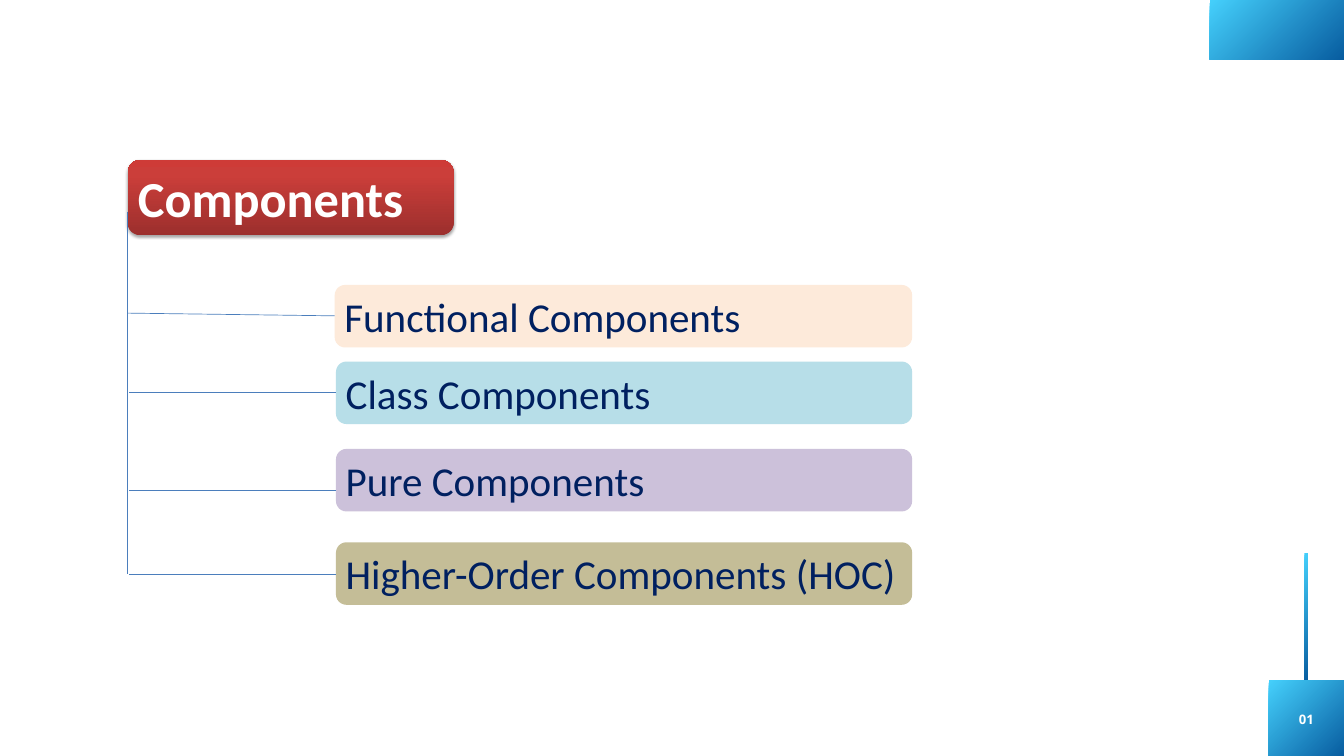
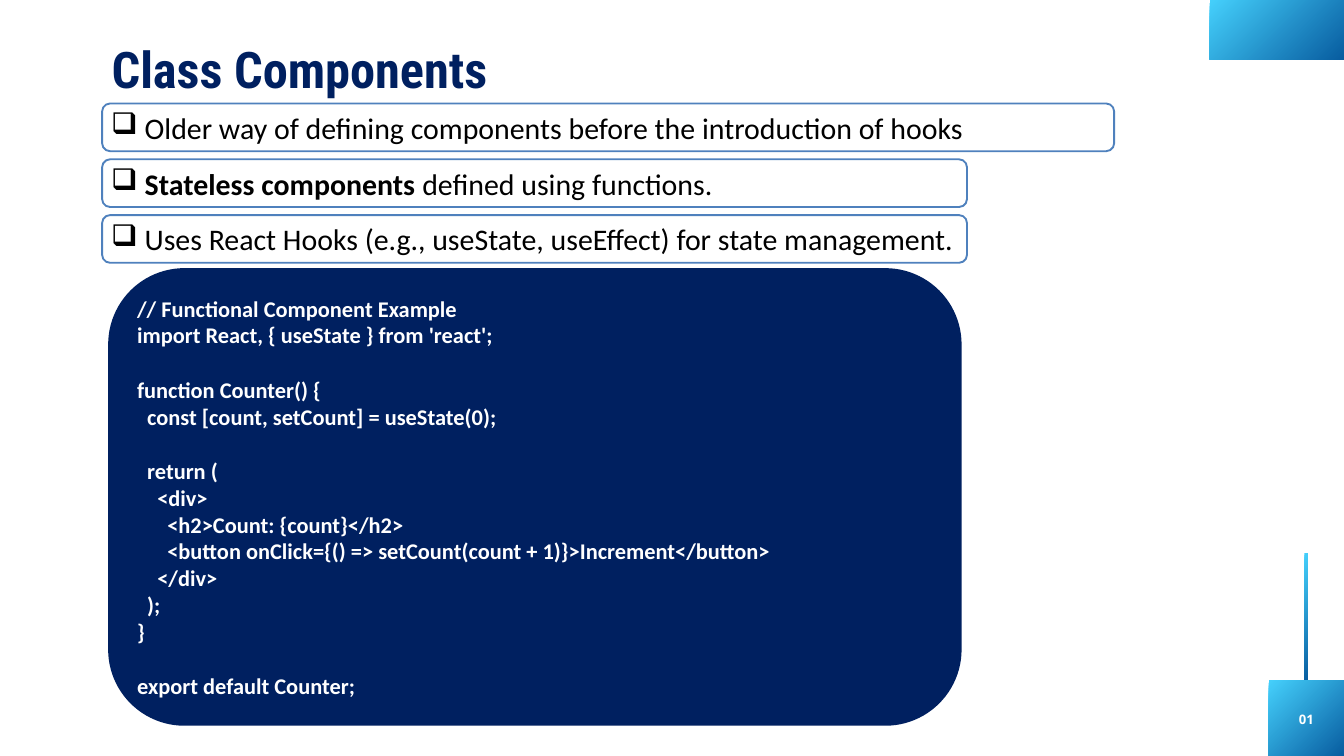
"""Two slides on component types: an overview tree and a worked code example."""
from copy import deepcopy

from lxml import etree
from pptx import Presentation
from pptx import util as u
from pptx.dml.color import RGBColor
from pptx.enum import shapes, text
from pptx.oxml.ns import qn

WHITE = RGBColor(0xFF, 0xFF, 0xFF)
BLACK = RGBColor(0, 0, 0)
NAVY = RGBColor(0x00, 0x20, 0x60)
SKY = RGBColor(0x45, 0xD0, 0xFC)
OCEAN = RGBColor(0x08, 0x5D, 0xA0)
BRANCH = RGBColor(0x4B, 0x7E, 0xBC)
OUTLINE = RGBColor(0x4F, 0x81, 0xBD)
PEACH = RGBColor(0xFD, 0xEA, 0xDA)
AQUA = RGBColor(0xB7, 0xDE, 0xE8)
LILAC = RGBColor(0xCC, 0xC1, 0xDA)
KHAKI = RGBColor(0xC4, 0xBD, 0x97)
REDS = [(0, RGBColor(0x9C, 0x2F, 0x2D)), (0.8, RGBColor(0xCB, 0x3E, 0x3A)),
        (1, RGBColor(0xCE, 0x3B, 0x37))]
BLUES = [(0, SKY), (1, OCEAN)]

PAGE = dict(size=u.Pt(14), name="Open Sans", bold=True)
TITLE = dict(size=u.Pt(54), name="Roboto Condensed", bold=True)
ROOT = dict(size=u.Pt(54), name="Calibri", bold=True)
BRANCH_TEXT = dict(size=u.Pt(44), name="Calibri", bold=False)
POINT = dict(size=u.Pt(32), name="Calibri")
CODE = dict(size=u.Pt(24), name="Calibri", bold=True)

deck = Presentation()
deck.slide_width, deck.slide_height = u.Inches(20), u.Inches(11.25)
COL, ROW = deck.slide_width / 100, deck.slide_height / 100
RECT = shapes.MSO_SHAPE.RECTANGLE
ROUNDED = shapes.MSO_SHAPE.ROUNDED_RECTANGLE


def block(slide, kind, left, top, width, height, fill=None, angle=315):
    """Place a shape on the 100 x 100 grid; fill is a colour, gradient stops or None."""
    box = slide.shapes.add_shape(kind, int(left * COL), int(top * ROW), int(width * COL), int(height * ROW))
    box.shadow.inherit = False
    box.line.fill.background()
    if fill is None:
        box.fill.background()
    elif isinstance(fill, RGBColor):
        box.fill.solid()
        box.fill.fore_color.rgb = fill
    else:
        box.fill.gradient()
        box.fill.gradient_angle = angle
        stop_list = box.fill._fill._gradFill.find(qn("a:gsLst"))
        for _ in fill[2:]:
            stop_list.append(deepcopy(stop_list[-1]))
        for stop, (position, colour) in zip(box.fill.gradient_stops, fill):
            stop.position = position
            stop.color.rgb = colour
    return box


def write(box, lines, style, colour, inset=True, align=text.PP_ALIGN.LEFT):
    """Fill a shape with lines, each a list of (words, overrides), and return the paragraphs."""
    frame = box.text_frame
    frame.word_wrap = True
    if not inset:
        frame.margin_left = frame.margin_right = frame.margin_top = frame.margin_bottom = 0
        frame.vertical_anchor = text.MSO_ANCHOR.TOP
    for number, line in enumerate(lines):
        paragraph = frame.add_paragraph() if number else frame.paragraphs[0]
        paragraph.alignment = align
        for words, overrides in line:
            run = paragraph.add_run()
            run.text = words
            run.font.color.rgb = colour
            for key, value in {**style, **overrides}.items():
                setattr(run.font, key, value)
    return frame.paragraphs


overview, example = [deck.slides.add_slide(deck.slide_layouts[6]) for _ in range(2)]

for slide in (overview, example):
    for area in [(97.05, 73.16, 0.27, 16.9), (90, 0, 10, 7.82), (94.4, 90, 5.6, 10)]:
        block(slide, RECT, *area, BLUES)
    page_number = block(slide, RECT, 95.7, 93.7, 3, 2.3)
    write(page_number, [[("01", {})]], PAGE, WHITE, False,
          text.PP_ALIGN.CENTER)[0].line_spacing = u.Pt(19.6)

root = block(overview, shapes.MSO_SHAPE.FLOWCHART_ALTERNATE_PROCESS, 9.5, 21.16, 24.25, 9.96, REDS, 90)
write(root, [[("Components", {})]], ROOT, WHITE)
shadow = etree.SubElement(root._element.spPr.find(qn("a:effectLst")), qn("a:outerShdw"),
                          blurRad="40000", dist="23000", dir="5400000", rotWithShape="0")
shade = etree.SubElement(shadow, qn("a:srgbClr"), val="000000")
etree.SubElement(shade, qn("a:alpha"), val="35000")

branches = [
    ("Functional Components", PEACH, 24.9, 37.69, 9.5, 41.42, 41.78),
    ("Class Components", AQUA, 25, 47.82, 9.6, 51.91, 51.91),
    ("Pure Components", LILAC, 25, 59.38, 9.6, 64.8, 64.8),
    ("Higher-Order Components (HOC)", KHAKI, 25, 71.73, 9.6, 75.91, 75.91),
]
tree_lines = [(9.5, 28, 9.5, 75.91)]
for label, colour, left, top, start, start_y, end_y in branches:
    item = block(overview, ROUNDED, left, top, 67.87 - left, 8.27, colour)
    write(item, [[(label, {})]], BRANCH_TEXT, NAVY)
    tree_lines.append((start, start_y, left, end_y))

for x1, y1, x2, y2 in tree_lines:
    link = overview.shapes.add_connector(shapes.MSO_CONNECTOR.STRAIGHT, int(x1 * COL), int(y1 * ROW),
                                         int(x2 * COL), int(y2 * ROW))
    link.line.color.rgb = BRANCH
    link.line.width = u.Pt(0.75)
    etree.SubElement(link._element.spPr, qn("a:effectLst"))

heading = block(example, RECT, 8.3, 4.27, 66.05, 8.09)
write(heading, [[("Class Components", {})]], TITLE, NAVY, False)[0].line_spacing = u.Pt(71.5)

points = [
    (75.3, [("Older way of defining components before the introduction of hooks", {})]),
    (64.35, [("Stateless components", {"bold": True}), (" defined using functions.", {})]),
    (64.35, [("Uses React Hooks (e.g., useState, useEffect) for state management.", {})]),
]
for row, (width, words) in enumerate(points):
    point = block(example, ROUNDED, 7.6, 13.69 + 7.38 * row, width, 6.31, WHITE)
    point.line.color.rgb = OUTLINE
    point.line.width = u.Pt(2)
    properties = write(point, [words], POINT, BLACK)[0]._p.get_or_add_pPr()
    properties.set("marL", str(u.Inches(0.5)))
    properties.set("indent", str(-u.Inches(0.5)))
    etree.SubElement(properties, qn("a:buChar"), char="❑")

code_lines = [
    (0, 0, "// Functional Component Example"),
    (0, 0, "import React, { useState } from 'react';"),
    (1, 0, "function Counter() {"),
    (0, 1, "const [count, setCount] = useState(0);"),
    (1, 1, "return ("),
    (0, 2, "<div>"),
    (0, 3, "<h2>Count: {count}</h2>"),
    (0, 3, "<button onClick={() => setCount(count + 1)}>Increment</button>"),
    (0, 2, "</div>"),
    (0, 1, ");"),
    (0, 0, "}"),
    (1, 0, "export default Counter;"),
]
listing = block(example, ROUNDED, 8.05, 35.47, 63.5, 60.53, NAVY)
paragraphs = write(listing, [[(words, {})] for _, _, words in code_lines], CODE, WHITE)
for paragraph, (gap, depth, _) in zip(paragraphs, code_lines):
    paragraph.space_before = u.Pt(29.3 * gap)
    paragraph._p.get_or_add_pPr().set("marL", str(u.Inches(0.15 * depth)))

deck.save("out.pptx")
